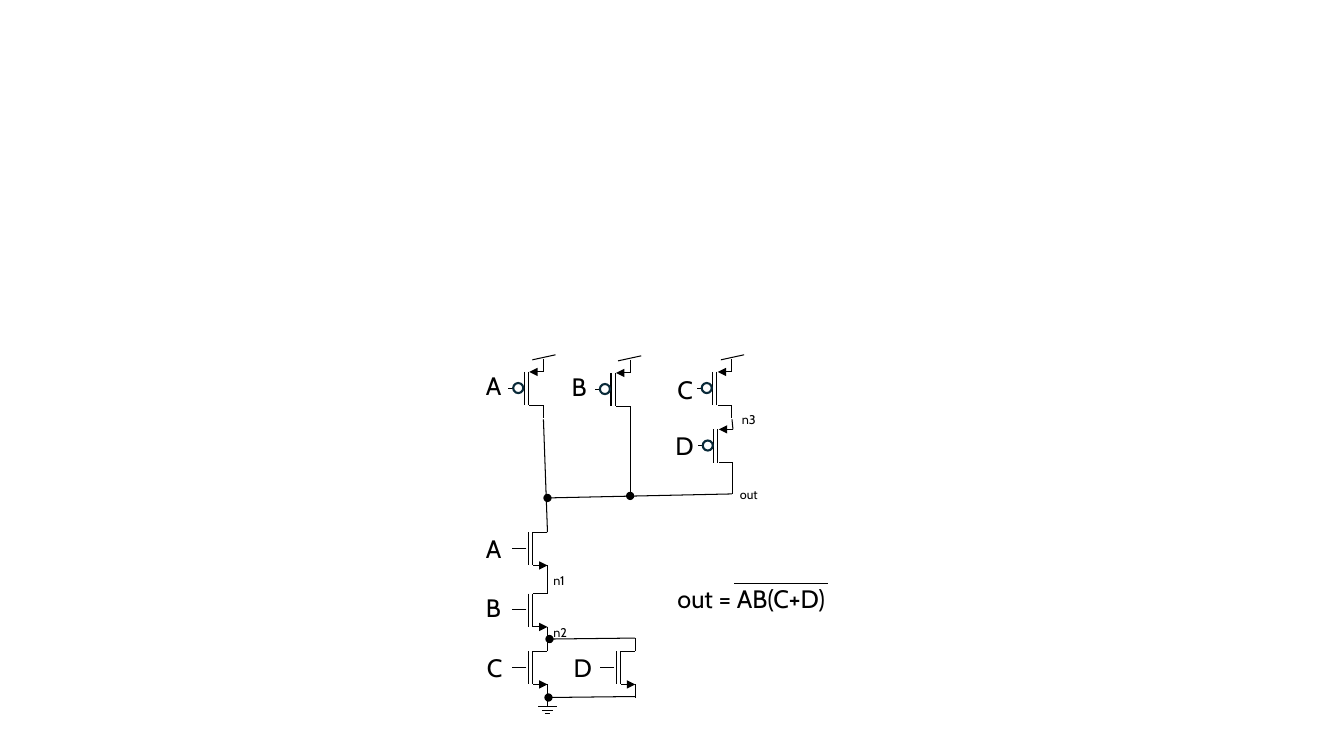
from lxml.etree import SubElement
from pptx import Presentation
from pptx.dml.color import RGBColor
from pptx.enum.shapes import MSO_CONNECTOR, MSO_SHAPE
from pptx.enum.text import MSO_AUTO_SIZE
from pptx.oxml.ns import qn
from pptx.util import Inches, Pt

THEME = {
    "ink": RGBColor.from_string("000000"),
    "bubble_line": RGBColor.from_string("092A39"),
    "bubble_fill": RGBColor.from_string("FFFFFF"),
    "wire": Pt(0.75),
    "bubble": Pt(1.5),
    "gate": {"name": "Cabin", "size": Pt(18)},
    "node": {"name": "Cabin", "size": Pt(9)},
}

# kind, drain x, top y, upper lead start, lower lead end y
TRANSISTORS = [
    ("n", 5.43, 5.28, (5.39, 4.16), 5.74),
    ("n", 5.43, 5.89, (5.43, 5.61), 6.35),
    ("n", 5.43, 6.46, (5.43, 6.33), 7.01),
    ("n", 6.30, 6.46, (6.30, 6.33), 6.92),
    ("p", 5.39, 3.69, (5.39, 3.56), 4.15),
    ("p", 6.25, 3.70, (6.25, 3.57), 4.16),
    ("p", 7.26, 3.69, (7.26, 3.56), 4.15),
    ("p", 7.27, 4.26, (7.26, 4.16), 4.90),
]
SUPPLIES = [(5.28, 3.57), (6.13, 3.58), (7.15, 3.57)]
NODE_WIRES = [
    ((6.30, 6.33), (5.45, 6.34)),
    ((6.30, 6.91), (5.44, 6.92)),
    ((7.26, 4.90), (5.43, 4.94)),
    ((6.25, 4.16), (6.25, 4.92)),
]
GROUND = {"x": 5.43, "y": 7.01, "gap": 0.035, "widths": (0.18, 0.10, 0.05)}
LABELS = [
    ("A", "gate", 4.72, 5.24, 0.35),
    ("B", "gate", 4.72, 5.83, 0.35),
    ("C", "gate", 4.73, 6.42, 0.38),
    ("D", "gate", 5.59, 6.42, 0.38),
    ("A", "gate", 4.72, 3.62, 0.35),
    ("B", "gate", 5.57, 3.63, 0.35),
    ("C", "gate", 6.62, 3.66, 0.38),
    ("D", "gate", 6.60, 4.22, 0.38),
    ("n1", "node", 5.39, 5.63, 0.34),
    ("n2", "node", 5.39, 6.15, 0.34),
    ("n3", "node", 7.26, 4.04, 0.34),
    ("out", "node", 7.24, 4.78, 0.38),
]
EQUATION = ("out = AB(C+D)", "gate", 6.62, 5.74, 1.72)
OVERLINE = ((8.21, 5.79), (7.28, 5.79))
LABEL_HEIGHT = {"gate": 0.40, "node": 0.25}


def add_wire(shapes, start, end, head=None, tail=None):
    points = [Inches(v) for v in (*start, *end)]
    cxn = shapes.add_connector(MSO_CONNECTOR.STRAIGHT, *points)
    cxn.line.width = THEME["wire"]
    cxn.line.color.rgb = THEME["ink"]
    ln = cxn.line._get_or_add_ln()
    for tag, kind in (("a:headEnd", head), ("a:tailEnd", tail)):
        if kind:
            SubElement(ln, qn(tag), type=kind)
    SubElement(cxn._element.spPr, qn("a:effectLst"))


def add_text(shapes, text, style, x, y, width, wrap=False):
    box = (Inches(v) for v in (x, y, width, LABEL_HEIGHT[style]))
    tf = shapes.add_textbox(*box).text_frame
    for name, value in {"word_wrap": wrap, "auto_size": MSO_AUTO_SIZE.SHAPE_TO_FIT_TEXT}.items():
        setattr(tf, name, value)
    r = tf.paragraphs[0].add_run()
    r.text = text
    for name, value in THEME[style].items():
        setattr(r.font, name, value)
    r.font.color.rgb = THEME["ink"]


def add_bubble(shapes, x, y):
    sp = shapes.add_shape(MSO_SHAPE.OVAL, Inches(x), Inches(y), Inches(0.1), Inches(0.1))
    sp.shadow.inherit = False
    sp.fill.solid()
    sp.fill.fore_color.rgb = THEME["bubble_fill"]
    sp.line.color.rgb = THEME["bubble_line"]
    sp.line.width = THEME["bubble"]


def add_transistor(shapes, kind, x, top, lead_start, lead_end):
    group = shapes.add_group_shape().shapes
    bottom, middle = top + 0.33, top + 0.16
    source_top = {"tail": "triangle"} if kind == "p" else {}
    source_bottom = {"head": "triangle"} if kind == "n" else {}
    add_wire(group, (x, top), (x - 0.14, top), **source_top)
    add_wire(group, (x, bottom), (x - 0.14, bottom), **source_bottom)
    for offset in (0.15, 0.19):
        add_wire(group, (x - offset, top), (x - offset, bottom))
    add_wire(group, lead_start, (x, top))
    add_wire(group, (x, bottom), (x, lead_end))
    add_wire(group, (x - 0.21, middle), (x - 0.35, middle))
    if kind == "p":
        add_bubble(group, x - 0.30, top + 0.11)


def add_ground(shapes, x, y, gap, widths):
    group = shapes.add_group_shape().shapes
    for i, width in enumerate(widths):
        bar_y = y + i * gap
        add_wire(group, (x - width / 2, bar_y), (x + width / 2, bar_y))


def main():
    prs = Presentation()
    prs.slide_width, prs.slide_height = Inches(13.33), Inches(7.5)
    s = prs.slides.add_slide(prs.slide_layouts[6])
    for transistor in TRANSISTORS:
        add_transistor(s.shapes, *transistor)
    add_ground(s.shapes, **GROUND)
    for x, y in SUPPLIES:
        add_wire(s.shapes, (x + 0.23, y - 0.05), (x, y))
    for start, end in NODE_WIRES:
        add_wire(s.shapes, start, end, tail="oval")
    for label in LABELS:
        add_text(s.shapes, *label)
    formula = s.shapes.add_group_shape().shapes
    add_text(formula, *EQUATION, wrap=True)
    add_wire(formula, *OVERLINE)
    prs.save("out.pptx")


if __name__ == "__main__":
    main()
